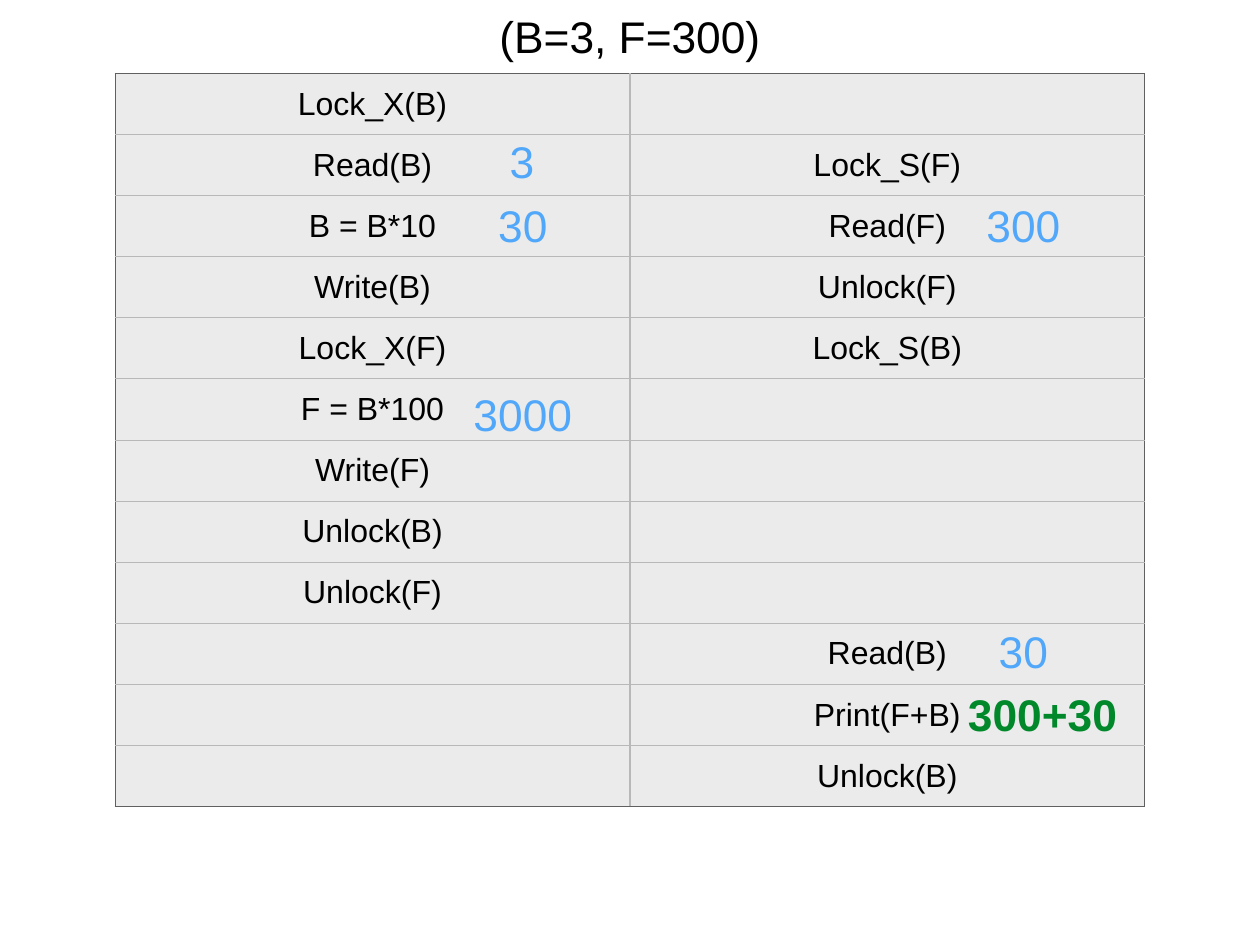
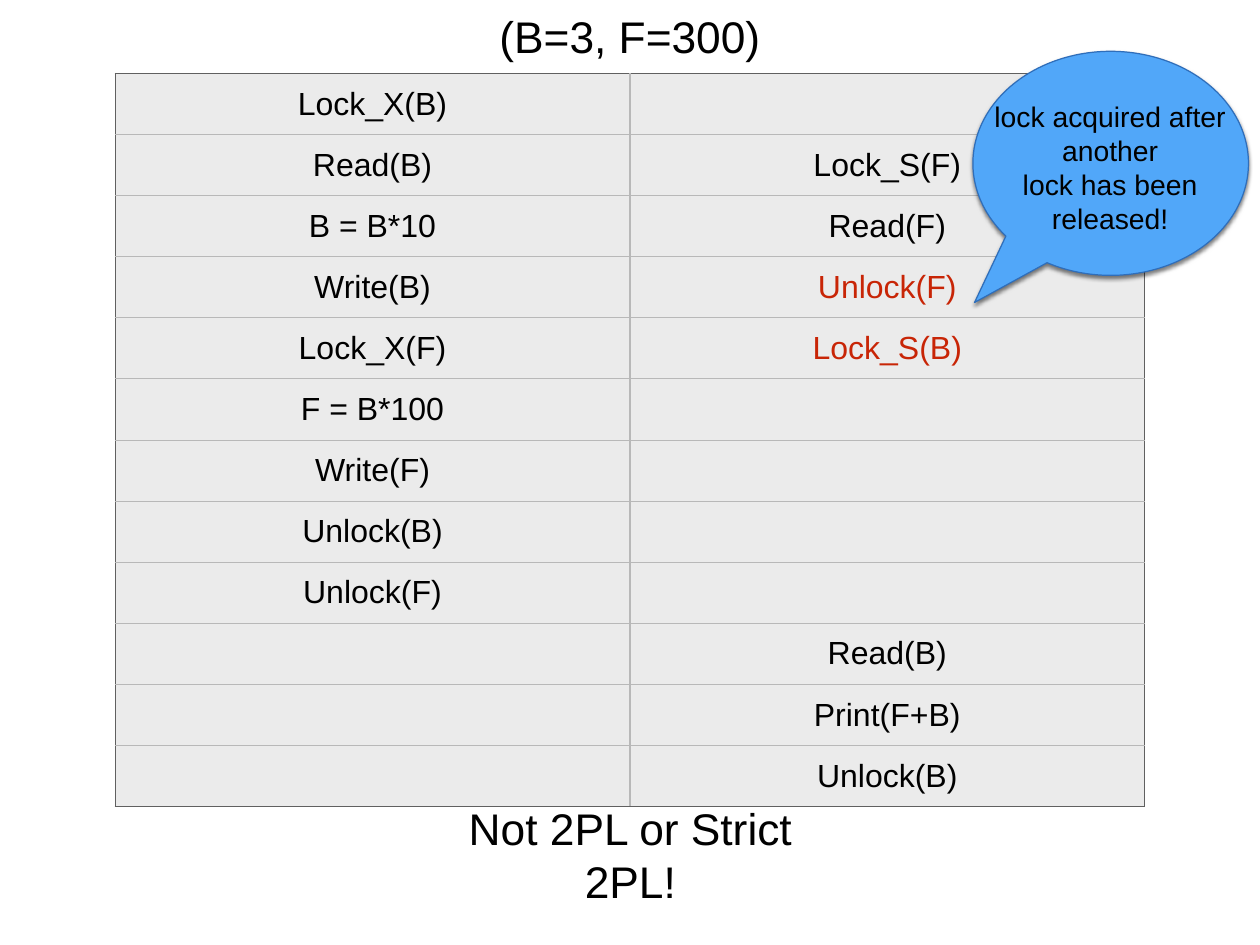
"""Build two slides that step through a locking schedule of two transactions."""
import pptx
import pptx.dml.color
import pptx.enum.shapes
import pptx.enum.text
import pptx.oxml
import pptx.oxml.ns
import pptx.util

Inches, Pt = pptx.util.Inches, pptx.util.Pt

COLORS = {
    "text": "000000", "cell": "EBEBEB", "frame": "606060", "grid": "B8B8B8",
    "value": "51A7F9", "result": "00882B", "alert": "C82506", "outline": "2F6EBA",
}
FONT = "Arial"
INSET = Inches(0.06)
LABEL_HEIGHT = 0.71

SCHEDULE = [
    ("Lock_X(B)", ""),
    ("Read(B)", "Lock_S(F)"),
    ("B = B*10", "Read(F)"),
    ("Write(B)", "Unlock(F)"),
    ("Lock_X(F)", "Lock_S(B)"),
    ("F = B*100", ""),
    ("Write(F)", ""),
    ("Unlock(B)", ""),
    ("Unlock(F)", ""),
    ("", "Read(B)"),
    ("", "Print(F+B)"),
    ("", "Unlock(B)"),
]
TABLE_LEFT, TABLE_TOP, COLUMN_WIDTH, ROW_HEIGHT = 1.3, 0.83, 5.81, 0.69

TITLE = ("(B=3, F=300)", 5.55, 0.05, 3.12, "text")
SLIDES = [
    {
        "labels": [
            TITLE,
            ("30", 5.56, 2.18, 0.68, "value"),
            ("3", 5.69, 1.46, 0.4, "value"),
            ("300", 11.07, 2.18, 0.96, "value"),
            ("3000", 5.28, 4.32, 1.24, "value"),
            ("30", 11.21, 6.99, 0.68, "value"),
            ("300+30 ", 10.86, 7.7, 1.95, "result"),
        ],
        "violations": (),
        "warning": (),
    },
    {
        "labels": [TITLE, ("Not 2PL or Strict 2PL!", 4.65, 9.29, 4.93, "text")],
        "violations": ("Unlock(F)", "Lock_S(B)"),
        "warning": ("lock acquired after another", "lock has been released!"),
    },
]


def rgb(name):
    return pptx.dml.color.RGBColor.from_string(COLORS[name])


def write(paragraph, text, size, color, bold=False):
    paragraph.alignment = pptx.enum.text.PP_ALIGN.CENTER
    run = paragraph.add_run()
    run.text = text
    run.font.name = FONT
    run.font.size = Pt(size)
    run.font.bold = bold
    run.font.color.rgb = rgb(color)


def set_insets(part):
    part.margin_left = part.margin_right = INSET
    part.margin_top = part.margin_bottom = INSET
    part.vertical_anchor = pptx.enum.text.MSO_ANCHOR.MIDDLE


def add_label(slide, lines, box, size, color, wrap=False):
    frame = slide.shapes.add_textbox(*map(Inches, box)).text_frame
    set_insets(frame)
    frame.word_wrap = wrap
    frame.auto_size = pptx.enum.text.MSO_AUTO_SIZE.SHAPE_TO_FIT_TEXT
    for index, line in enumerate(lines):
        paragraph = frame.add_paragraph() if index else frame.paragraphs[0]
        write(paragraph, line, size, color, bold=color == "result")


def set_borders(cell, outer_edges):
    properties = cell._tc.get_or_add_tcPr()
    for edge in "LRTB":
        color = COLORS["frame" if edge in outer_edges else "grid"]
        properties.append(pptx.oxml.parse_xml(
            f'<a:ln{edge} {pptx.oxml.ns.nsdecls("a")} w="{Pt(1)}"><a:solidFill>'
            f'<a:srgbClr val="{color}"/></a:solidFill></a:ln{edge}>'))


def add_schedule(slide, violations):
    rows, columns = len(SCHEDULE), len(SCHEDULE[0])
    schedule = slide.shapes.add_table(
        rows, columns, Inches(TABLE_LEFT), Inches(TABLE_TOP),
        Inches(COLUMN_WIDTH * columns), Inches(ROW_HEIGHT * rows)).table
    schedule.first_row = schedule.horz_banding = False
    for column in schedule.columns:
        column.width = Inches(COLUMN_WIDTH)
    for r, steps in enumerate(SCHEDULE):
        schedule.rows[r].height = Inches(ROW_HEIGHT)
        for c, step in enumerate(steps):
            cell = schedule.cell(r, c)
            set_insets(cell)
            at_edge = {"L": c == 0, "R": c == columns - 1, "T": r == 0, "B": r == rows - 1}
            set_borders(cell, [edge for edge, outer in at_edge.items() if outer])
            cell.fill.solid()
            cell.fill.fore_color.rgb = rgb("cell")
            if step:
                alert = c == 1 and step in violations
                write(cell.text_frame.paragraphs[0], step, 26, "alert" if alert else "text")


def add_warning(slide, lines):
    bubble = slide.shapes.add_shape(
        pptx.enum.shapes.MSO_SHAPE.OVAL_CALLOUT,
        *map(Inches, (10.98, 0.58, 3.11, 2.53)))
    bubble.adjustments[0], bubble.adjustments[1] = -0.494, 0.621
    bubble.fill.solid()
    bubble.fill.fore_color.rgb = rgb("value")
    bubble.line.color.rgb = rgb("outline")
    bubble.line.width = Pt(1)
    bubble.shadow.inherit = False
    effects = bubble._element.spPr.find(pptx.oxml.ns.qn("a:effectLst"))
    effects.append(pptx.oxml.parse_xml(
        f'<a:outerShdw {pptx.oxml.ns.nsdecls("a")} blurRad="{Pt(3)}" dist="{Pt(2)}" '
        f'dir="5400000" rotWithShape="0"><a:srgbClr val="{COLORS["text"]}">'
        '<a:alpha val="50000"/></a:srgbClr></a:outerShdw>'))
    add_label(slide, lines, (11.08, 1.05, 2.9, 1.67), 23, "text", wrap=True)


def main():
    deck = pptx.Presentation()
    deck.slide_width, deck.slide_height = Inches(14.22), Inches(10.67)
    for content in SLIDES:
        slide = deck.slides.add_slide(deck.slide_layouts[6])
        add_schedule(slide, content["violations"])
        for text, left, top, width, color in content["labels"]:
            add_label(slide, [text], (left, top, width, LABEL_HEIGHT), 36, color)
        if content["warning"]:
            add_warning(slide, content["warning"])
    deck.save("out.pptx")


if __name__ == "__main__":
    main()
